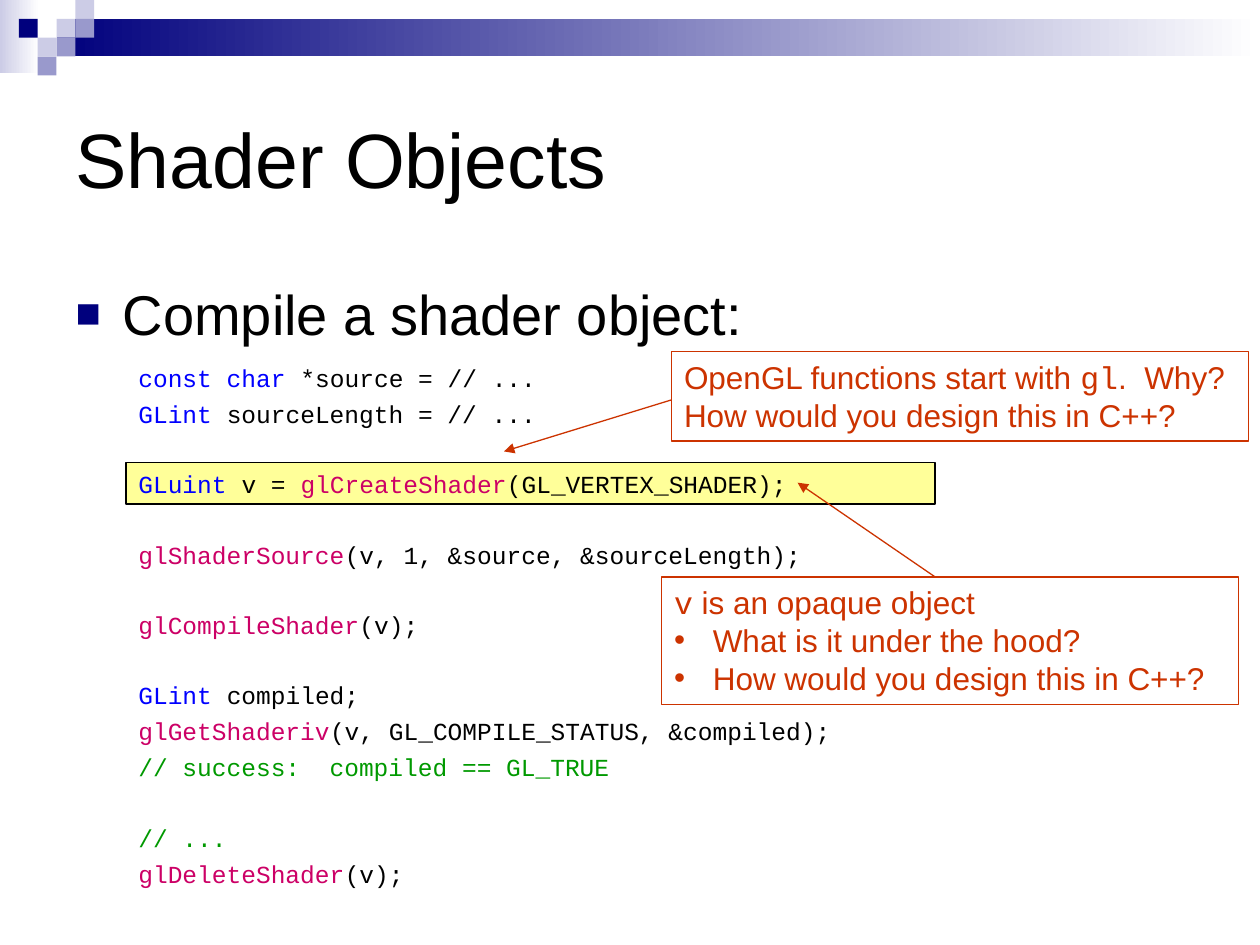
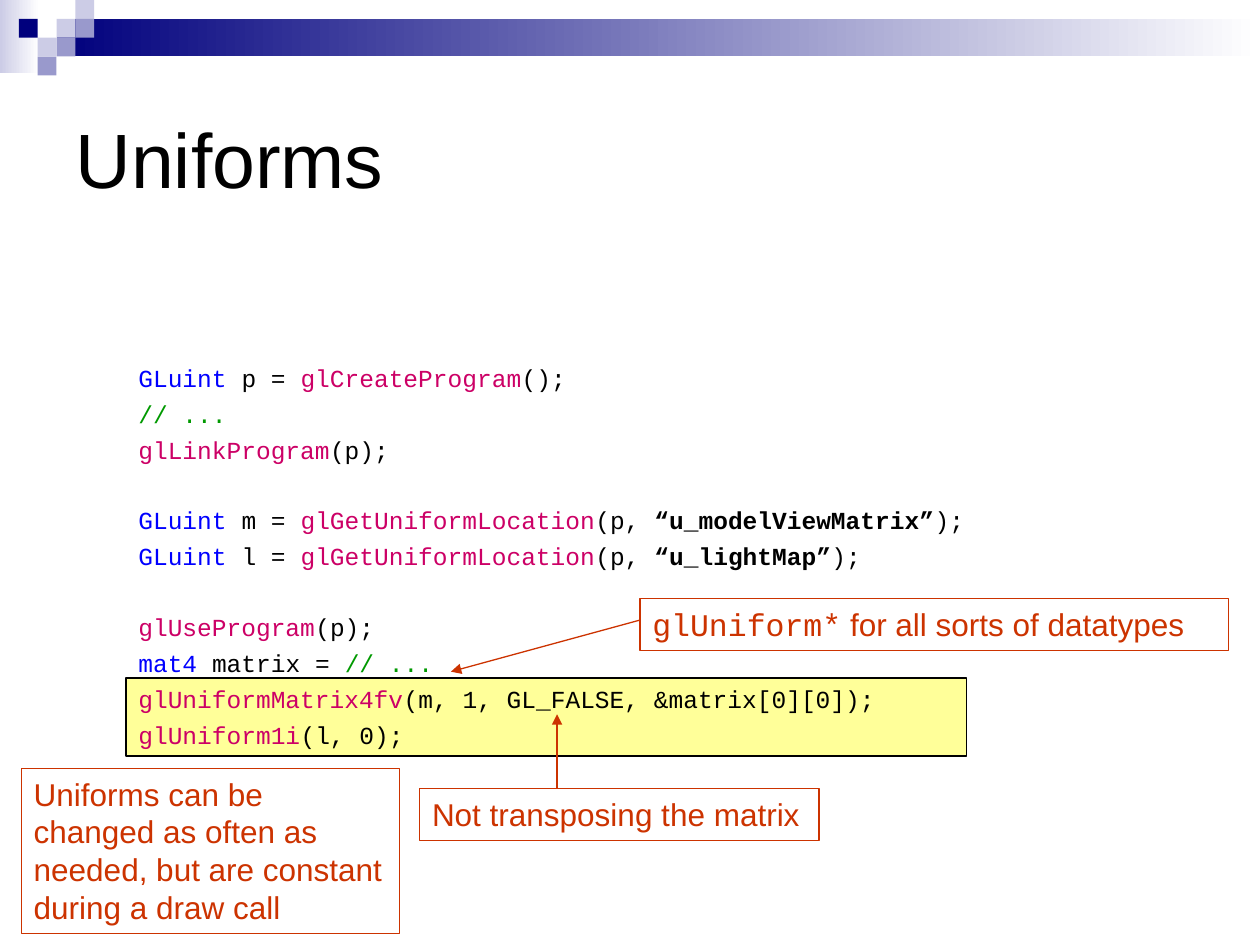
from lxml.etree import SubElement
from pptx import Presentation
from pptx.dml.color import RGBColor
from pptx.enum.shapes import MSO_CONNECTOR as Connector, MSO_SHAPE as Shape
from pptx.enum.text import MSO_ANCHOR as Anchor, MSO_AUTO_SIZE as AutoSize, PP_ALIGN as Align
from pptx.oxml.ns import qn
from pptx.util import Cm, Pt

NAVY = RGBColor(0x00, 0x00, 0x7D)
LAVENDER = RGBColor(0xCC, 0xCC, 0xE6)
PERIWINKLE = RGBColor(0x99, 0x99, 0xCC)
WHITE = RGBColor(0xFF, 0xFF, 0xFF)
BLACK = RGBColor(0x00, 0x00, 0x00)
YELLOW = RGBColor(0xFF, 0xFF, 0x99)
BLUE = RGBColor(0x00, 0x00, 0xFF)
MAGENTA = RGBColor(0xCC, 0x00, 0x66)
GREEN = RGBColor(0x00, 0x99, 0x00)
RUST = RGBColor(0xCC, 0x33, 0x00)

SANS, MONO = "Arial", "Courier New"
TITLE_FORMAT = {"name": SANS, "size": Pt(44), "color": BLACK}
BODY_FORMAT = {"name": SANS, "size": Pt(32), "color": BLACK}
NOTE = {"name": SANS, "size": Pt(18), "color": RUST}
NOTE_CODE = NOTE | {"name": MONO}
PLAIN = {"name": MONO, "size": Pt(14), "color": BLACK}
TYPE = PLAIN | {"color": BLUE}
CALL = PLAIN | {"color": MAGENTA}
COMMENT = PLAIN | {"color": GREEN}
STRING = PLAIN | {"bold": True}

LINE_GAP = 3.77   # points between two lines of code
BLOCK_GAP = 23.4  # points between two blocks of code
GRID = 0.38       # side of a header square, in cm

TITLE_BOX = (1.27, 1.27, 22.86, 3.81)
BODY_BOX = (1.27, 5.51, 22.86, 12.5)


# Helpers
def set_values(target, values):
    for name, value in values.items():
        setattr(target, name, value)


def place(shape, box):
    set_values(shape, dict(zip(("left", "top", "width", "height"), map(Cm, box))))


def add_runs(paragraph, runs):
    for text, run_format in runs:
        run = paragraph.add_run()
        run.text = text
        set_values(run.font, {k: v for k, v in run_format.items() if k != "color"})
        run.font.color.rgb = run_format["color"]


def next_paragraph(frame, index):
    return frame.add_paragraph() if index else frame.paragraphs[0]


def set_bullet(paragraph, character, indent, color=None, percent=None):
    properties = paragraph._p.get_or_add_pPr()
    properties.set("marL", str(Cm(indent)))
    properties.set("indent", str(-Cm(indent)))
    if color is not None:
        SubElement(SubElement(properties, qn("a:buClr")), qn("a:srgbClr"), val=str(color))
    if percent:
        SubElement(properties, qn("a:buSzPct"), val=str(percent * 1000))
    SubElement(properties, qn("a:buFont"), typeface=SANS)
    SubElement(properties, qn("a:buChar"), char=character)


def add_rectangle(slide, box, color, fade_to=None):
    shape = slide.shapes.add_shape(Shape.RECTANGLE, *map(Cm, box))
    shape.shadow.inherit = False
    shape.line.fill.background()
    if fade_to is None:
        shape.fill.solid()
        shape.fill.fore_color.rgb = color
    else:
        shape.fill.gradient()
        shape.fill.gradient_angle = 0
        for stop, stop_color, position in zip(shape.fill.gradient_stops, (color, fade_to), (0, 1)):
            stop.color.rgb = stop_color
            stop.position = position
    return shape


# Header band, kept on the slide master
def add_header(slide, master):
    squares = [(1, 1, LAVENDER), (2, 0, LAVENDER), (2, 1, PERIWINKLE), (0, 2, LAVENDER),
               (-1, 1, NAVY), (1, 2, PERIWINKLE), (0, 3, PERIWINKLE)]
    parts = [add_rectangle(slide, (0, 0, 0.79, 1.47), LAVENDER, WHITE),
             add_rectangle(slide, (3 * GRID, GRID, 25.4 - 3 * GRID, 2 * GRID), NAVY, WHITE)]
    for column, row, color in squares:
        box = ((column + 2) * GRID, row * GRID, GRID, GRID)
        parts.append(add_rectangle(slide, box, color))
    for index, part in enumerate(parts):
        part.element.xpath(".//p:cNvPr")[0].set("id", str(100 + index))
        master.shapes.element.insert(2 + index, part.element)


# Title and list placeholders
def fill_title(slide, text):
    title = slide.shapes.title
    place(title, TITLE_BOX)
    set_values(title.text_frame, {"vertical_anchor": Anchor.MIDDLE, "auto_size": AutoSize.NONE})
    paragraph = title.text_frame.paragraphs[0]
    paragraph.alignment = Align.LEFT
    add_runs(paragraph, [(text, TITLE_FORMAT)])


def fill_body(slide, text):
    body = slide.placeholders[1]
    place(body, BODY_BOX)
    body.text_frame.auto_size = AutoSize.NONE
    paragraph = body.text_frame.paragraphs[0]
    add_runs(paragraph, [(text, BODY_FORMAT)])
    set_bullet(paragraph, "■", 0.95, NAVY, 75)


# Code listing with one highlighted area
def add_code(slide, box, blocks, highlight):
    left, top, width, height = box
    offset, mark_width, mark_height = highlight
    mark = add_rectangle(slide, (left, top + offset, mark_width, mark_height), YELLOW)
    mark.line.color.rgb = BLACK
    mark.line.width = Pt(0.75)

    frame = slide.shapes.add_textbox(*map(Cm, box)).text_frame
    frame.word_wrap = True
    lines = [(line, block_index and not line_index)
             for block_index, block in enumerate(blocks)
             for line_index, line in enumerate(block)]
    for index, (runs, starts_block) in enumerate(lines):
        paragraph = next_paragraph(frame, index)
        paragraph.space_before = Pt(BLOCK_GAP if starts_block else LINE_GAP)
        add_runs(paragraph, runs)


# Framed note; the arrow's ends are measured from the note's corner
def add_callout(slide, box, lines, arrow=None, bullets_from=None):
    note = slide.shapes.add_textbox(*map(Cm, box))
    note.line.color.rgb = RUST
    note.line.width = Pt(0.75)
    note.text_frame.word_wrap = True
    for index, runs in enumerate(lines):
        paragraph = next_paragraph(note.text_frame, index)
        add_runs(paragraph, runs)
        if bullets_from is not None and index >= bullets_from:
            set_bullet(paragraph, "•", 0.78)
    if arrow:
        add_arrow(slide, *[(box[0] + x, box[1] + y) for x, y in arrow])


def add_arrow(slide, start, tip):
    arrow = slide.shapes.add_connector(Connector.STRAIGHT, *map(Cm, start + tip))
    arrow.line.color.rgb = RUST
    arrow.line.width = Pt(0.75)
    properties = arrow.element.spPr
    SubElement(properties.find(qn("a:ln")), qn("a:tailEnd"), type="triangle")
    SubElement(properties, qn("a:effectLst"))


# Slides
def build_shader_objects(slide):
    fill_title(slide, "Shader Objects")
    fill_body(slide, "Compile a shader object:")
    blocks = [
        [[("const char", TYPE), (" *source = // ...", PLAIN)],
         [("GLint", TYPE), (" sourceLength = // ...", PLAIN)]],
        [[("GLuint", TYPE), (" v = ", PLAIN), ("glCreateShader", CALL),
          ("(GL_VERTEX_SHADER);", PLAIN)]],
        [[("glShaderSource", CALL), ("(v, 1, &source, &sourceLength);", PLAIN)]],
        [[("glCompileShader", CALL), ("(v);", PLAIN)]],
        [[("GLint", TYPE), (" compiled;", PLAIN)],
         [("glGetShaderiv", CALL), ("(v, GL_COMPILE_STATUS, &compiled);", PLAIN)],
         [("// success:  compiled == GL_TRUE", COMMENT)]],
        [[("// ...", COMMENT)],
         [("glDeleteShader", CALL), ("(v);", PLAIN)]],
    ]
    add_code(slide, (2.54, 7.19, 17.15, 11.23), blocks, (2.13, 16.31, 0.84))
    add_callout(slide, (13.34, 11.63, 11.63, 2.57),
                [[("v", NOTE_CODE), (" is an opaque object", NOTE)],
                 [("What is it under the hood?", NOTE)],
                 [("How would you design this in C++?", NOTE)]],
                ((5.51, 0), (2.74, -1.9)), bullets_from=1)
    add_callout(slide, (13.54, 7.09, 11.63, 1.8),
                [[("OpenGL functions start with ", NOTE), ("gl", NOTE_CODE),
                  (".  Why?  How would you design this in C++?", NOTE)]],
                ((0, 0.97), (-3.38, 2.01)))


def build_uniforms(slide):
    fill_title(slide, "Uniforms")

    def location_line(variable, uniform):
        return [("GLuint ", TYPE), (f"{variable} = ", PLAIN), ("glGetUniformLocation", CALL),
                ("(p, ", PLAIN), (f"“{uniform}”", STRING), (");", PLAIN)]

    blocks = [
        [[("GLuint", TYPE), (" p = ", PLAIN), ("glCreateProgram", CALL), ("();", PLAIN)],
         [("// ...", COMMENT)],
         [("glLinkProgram", CALL), ("(p);", PLAIN)]],
        [location_line("m", "u_modelViewMatrix"),
         location_line("l", "u_lightMap")],
        [[("glUseProgram", CALL), ("(p);", PLAIN)],
         [("mat4", TYPE), (" matrix = ", PLAIN), ("// ...", COMMENT)],
         [("glUniformMatrix4fv", CALL), ("(m, 1, GL_FALSE, &matrix[0][0]);", PLAIN)],
         [("glUniform1i", CALL), ("(l, 0);", PLAIN)]],
    ]
    add_code(slide, (2.54, 7.19, 18.42, 11.23), blocks, (6.48, 16.94, 1.57))
    add_callout(slide, (0.43, 15.49, 7.62, 3.33),
                [[("Uniforms can be changed as often as needed, "
                   "but are constant during a draw call", NOTE)]])
    add_callout(slide, (8.46, 15.9, 8.05, 1.04), [[("Not transposing the matrix", NOTE)]],
                ((2.77, 0), (2.77, -1.5)))
    add_callout(slide, (12.9, 12.07, 11.86, 1.04),
                [[("glUniform*", NOTE_CODE), (" for all sorts of datatypes", NOTE)]],
                ((0, 0.43), (-3.81, 1.47)))


def main():
    presentation = Presentation()
    set_values(presentation, {"slide_width": Cm(25.4), "slide_height": Cm(19.05)})
    title_and_content, title_only = (presentation.slide_layouts[i] for i in (1, 5))
    first = presentation.slides.add_slide(title_and_content)
    add_header(first, presentation.slide_master)
    build_shader_objects(first)
    build_uniforms(presentation.slides.add_slide(title_only))
    presentation.save("out.pptx")


if __name__ == "__main__":
    main()
